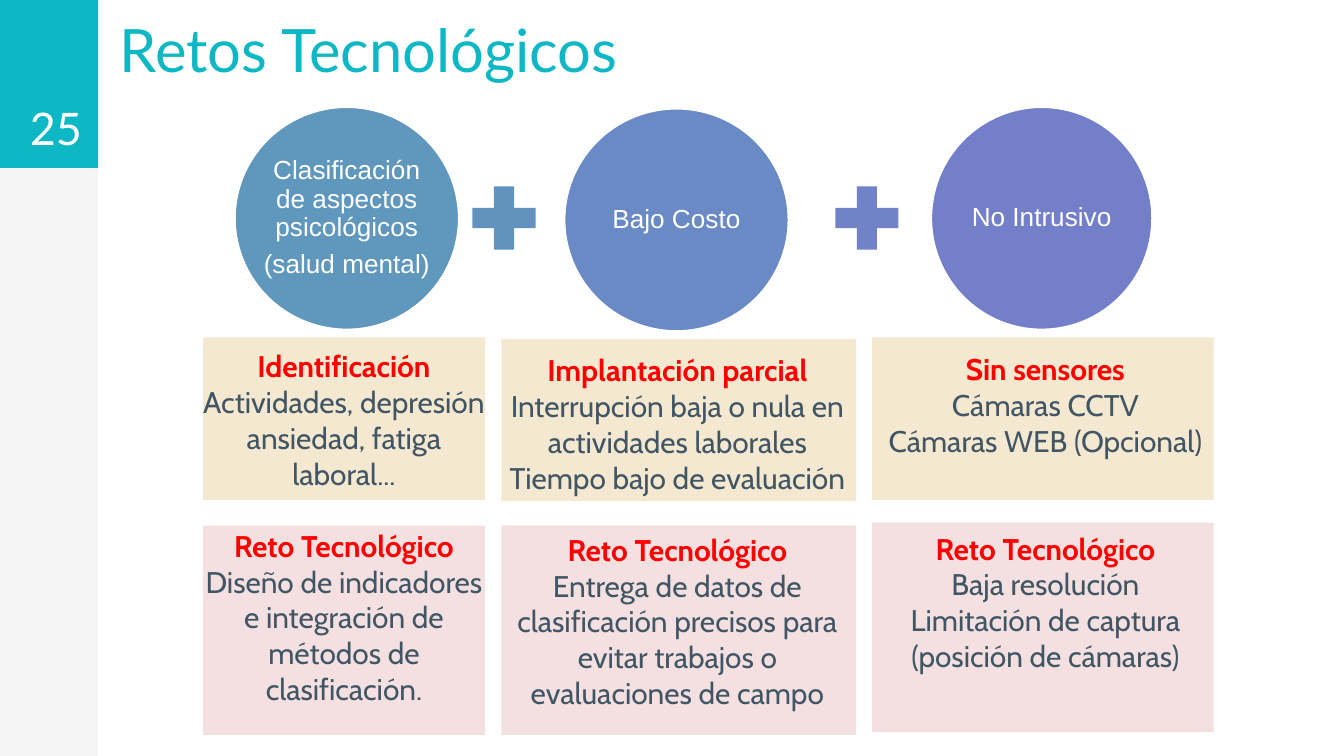
import pptx
import pptx.util
import pptx.dml.color
import pptx.enum.shapes
import pptx.enum.text
import pptx.oxml.ns
import lxml.etree

Pt = pptx.util.Pt
Kind = pptx.enum.shapes.MSO_SHAPE
Align = pptx.enum.text.PP_ALIGN
Anchor = pptx.enum.text.MSO_ANCHOR

TEAL, WHITE, RED, SLATE = "0DB7C4", "FFFFFF", "FF0000", "415665"
LINE = 19.3


def paint(target, code, alpha=None):
    if hasattr(target, "solid"):
        target.solid()
        target = target.fore_color
    target.rgb = pptx.dml.color.RGBColor.from_string(code)
    if alpha is not None:
        node = target._xFill.find(pptx.oxml.ns.qn("a:srgbClr"))
        lxml.etree.SubElement(node, pptx.oxml.ns.qn("a:alpha"), val=str(alpha * 1000))


def draw(slide, kind, box, code, alpha=None):
    shape = slide.shapes.add_shape(kind, *map(Pt, box))
    shape.shadow.inherit = False
    paint(shape.fill, code, alpha)
    shape.line.fill.background()
    return shape


def style(para, size, face, code, bold=False, align=Align.CENTER):
    para.alignment = align
    font = para.font
    font.size, font.name, font.bold = Pt(size), face, bold
    paint(font.color, code)


def frame(slide, box, top=7.2, anchor=Anchor.TOP):
    text = slide.shapes.add_textbox(*map(Pt, box)).text_frame
    text.word_wrap = True
    text.vertical_anchor = anchor
    text.margin_left = text.margin_right = Pt(7.2)
    text.margin_top = text.margin_bottom = Pt(top)
    return text


def label(slide, box, words, size, code, align):
    para = frame(slide, box, anchor=Anchor.BOTTOM).paragraphs[0]
    para.text = words
    style(para, size, "Lato", code, align=align)


def sidebar(slide, box):
    left, top, width, height = box
    draw(slide, Kind.RECTANGLE, box, "000000", 4)
    draw(slide, Kind.RECTANGLE, (left, top, width, 90), TEAL)
    label(slide, (left + 3.6, top, width, 90), "25", 24, WHITE, Align.CENTER)


def circle(slide, box, code, lines):
    shape = draw(slide, Kind.OVAL, box, code)
    paint(shape.line.fill, WHITE)
    shape.line.width = Pt(2)
    text = shape.text_frame
    text.word_wrap = False
    text.vertical_anchor = Anchor.MIDDLE
    text.margin_left = text.margin_right = text.margin_top = text.margin_bottom = 0
    for i, words in enumerate(lines):
        para = text.add_paragraph() if i else text.paragraphs[0]
        para.text = words
        para.line_spacing = 0.9
        if i:
            para.space_before = Pt(4.9)
        style(para, 14, "Arial", WHITE)


def column(slide, box, drop, inset, nudge, gap, parts):
    left, top, width, height = box
    draw(slide, Kind.RECTANGLE, (left, top, width, 87), "E7C586", 39)
    draw(slide, Kind.RECTANGLE, (left, top + drop, width, 112.3), "EFD0D0", 66)
    shift, down, wide = nudge
    text = frame(slide, (left + shift, top + down, wide, height), inset)
    first = True
    for part in parts:
        for i, words in enumerate(part):
            para = text.paragraphs[0] if first else text.add_paragraph()
            para.text = words
            if i == 0 and not first:
                para.space_before = Pt(gap * LINE)
            style(para, 16, "Cabin", SLATE if i else RED, bold=i == 0)
            first = False


CIRCLES = [
    ((125.3, 56.9, 121, 120.2), "5F98BC",
     ["Clasificación\vde aspectos\vpsicológicos", "(salud mental)"]),
    ((301.9, 57.7, 121, 120.2), "698AC4", ["Bajo Costo"]),
    ((498.4, 56.9, 119.4, 120.2), "747FCA", ["No Intrusivo"]),
]
PLUSES = [(247, "6293BE"), (441.4, "7182C8")]
COLUMNS = [
    ((108.8, 180.8, 151.2, 233), 100.8, 7.2, (-10.9, -1.5, 172.8), 1, [
        ["Identificación", "Actividades, depresión", "ansiedad, fatiga laboral..."],
        ["Reto Tecnológico",
         "Diseño de indicadores e integración de métodos de clasificación."]]),
    ((268.6, 181.5, 190, 237), 100, 3.6, (-7.2, 3.6, 203), 1, [
        ["Implantación parcial", "Interrupción baja o nula en actividades laborales",
         "Tiempo bajo de evaluación"],
        ["Reto Tecnológico", "Entrega de datos de clasificación precisos para "
         "evitar trabajos o evaluaciones de campo"]]),
    ((467.2, 180.8, 183, 218), 99.2, 3.6, (-4.3, 3.6, 194.4), 2, [
        ["Sin sensores", "Cámaras CCTV", "Cámaras WEB (Opcional)"],
        ["Reto Tecnológico", "Baja resolución",
         "Limitación de captura (posición de cámaras)"]]),
]


def main():
    deck = pptx.Presentation()
    deck.slide_width, deck.slide_height = Pt(720), Pt(405)
    slide = deck.slides.add_slide(deck.slide_layouts[6])
    sidebar(slide, (0, 0, 52.6, 405))
    label(slide, (57, 8, 466, 44.6), "Retos Tecnológicos", 32, TEAL, Align.LEFT)
    for item in CIRCLES:
        circle(slide, *item)
    for left, code in PLUSES:
        draw(slide, Kind.MATH_PLUS, (left, 93.8, 46, 46), code)
    for item in COLUMNS:
        column(slide, *item)
    deck.save("out.pptx")


if __name__ == "__main__":
    main()
